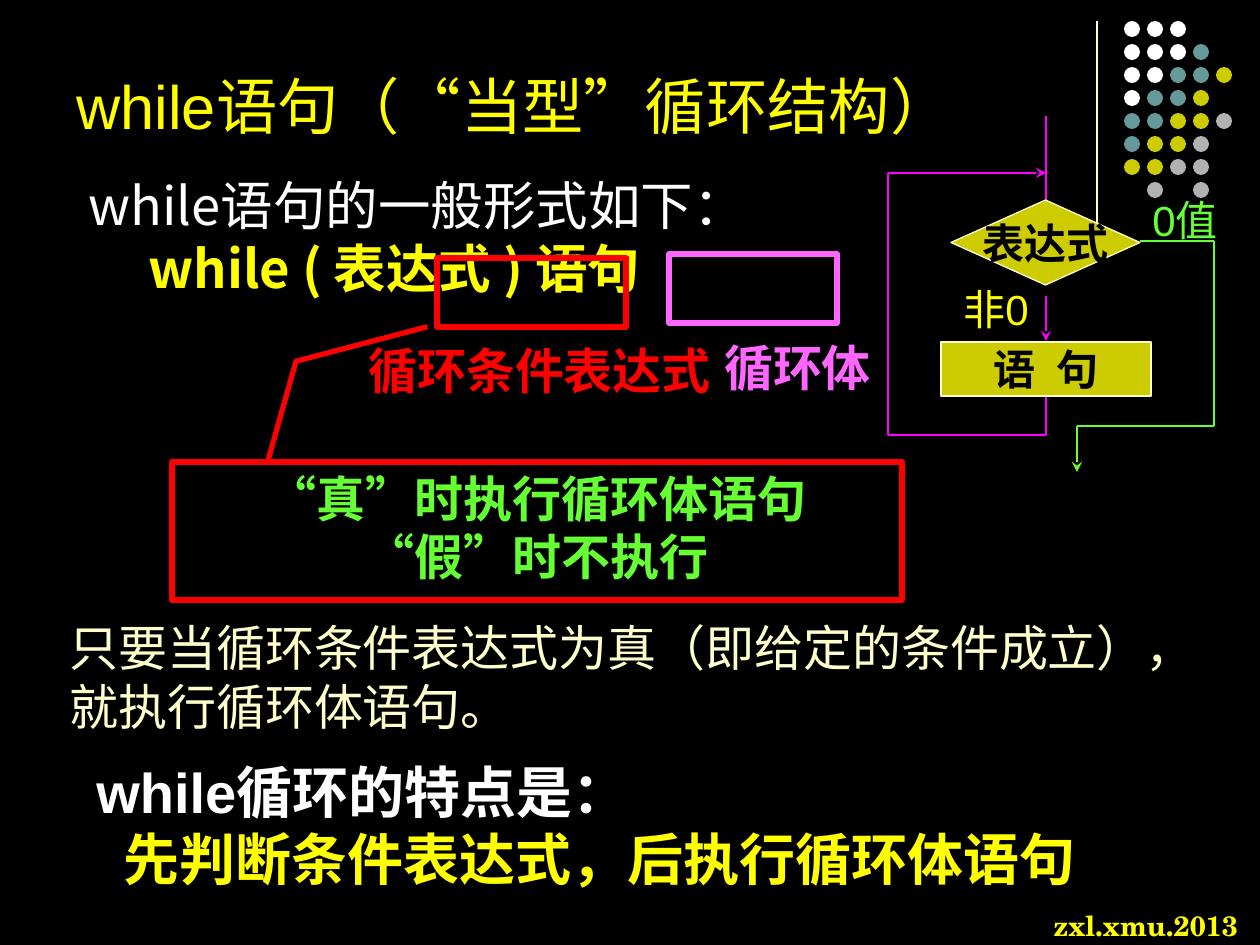
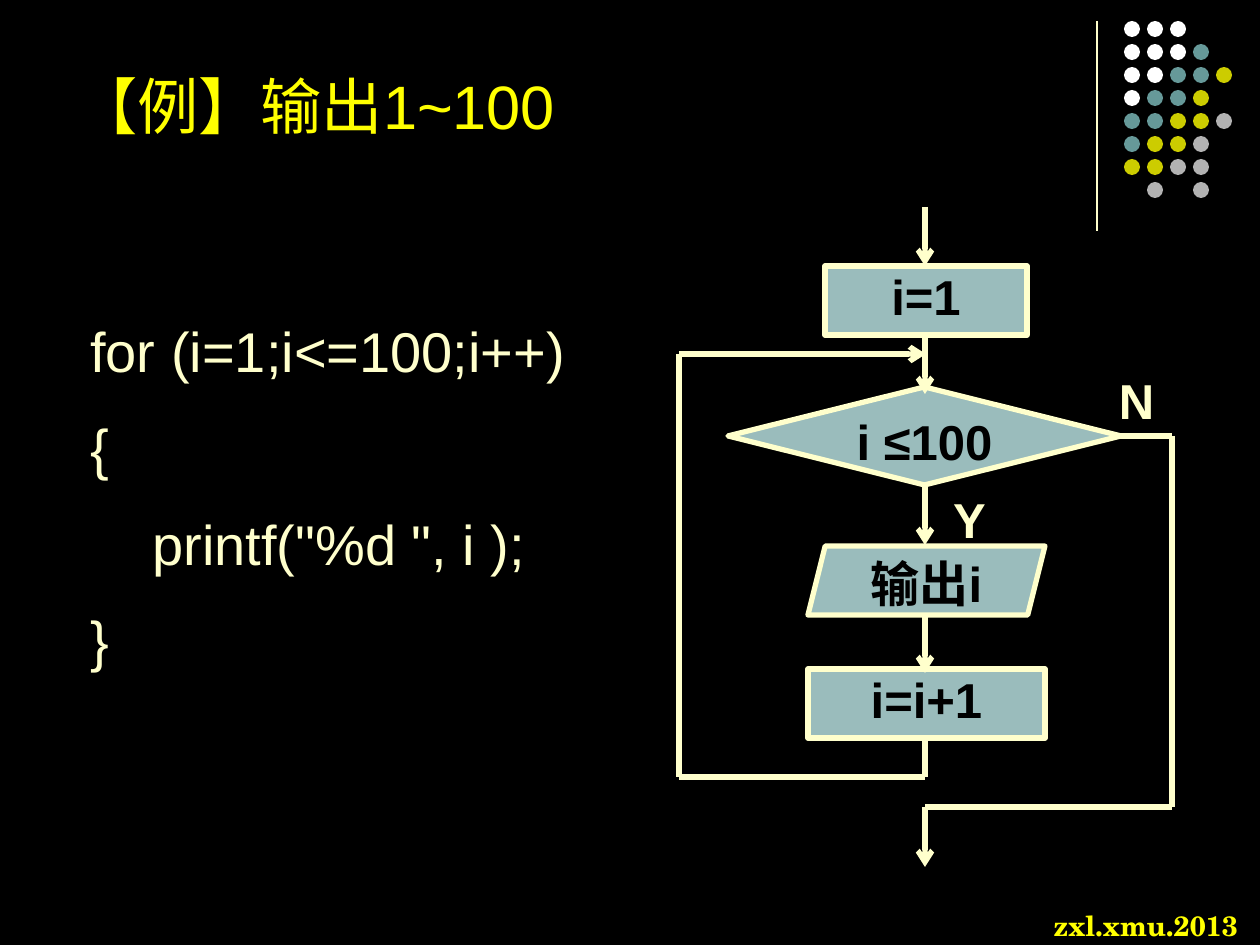
from lxml import etree
from pptx import Presentation
from pptx.dml.color import RGBColor
from pptx.enum.shapes import MSO_CONNECTOR, MSO_SHAPE
from pptx.enum.text import MSO_ANCHOR, PP_ALIGN
from pptx.oxml.ns import qn
from pptx.util import Pt

LINE = MSO_CONNECTOR.STRAIGHT
RECT, OVAL = MSO_SHAPE.RECTANGLE, MSO_SHAPE.OVAL
DIAMOND, CALLOUT = MSO_SHAPE.DIAMOND, MSO_SHAPE.LINE_CALLOUT_2
STEP, TEST = MSO_SHAPE.FLOWCHART_PROCESS, MSO_SHAPE.FLOWCHART_DECISION
SLANT = MSO_SHAPE.PARALLELOGRAM
LEFT, MID = PP_ALIGN.LEFT, PP_ALIGN.CENTER
TOP, CENTRE, BASE = MSO_ANCHOR.TOP, MSO_ANCHOR.MIDDLE, MSO_ANCHOR.BOTTOM

SCALE = 914400 / 126
SANS, HAN = "Arial", "Noto Sans CJK SC"
SERIF, SCHOOL = "Times New Roman", "TeX Gyre Schola"
COLORS = {
    "black": "000000", "white": "FFFFFF", "cream": "FFFFCC",
    "yellow": "FFFF00", "olive": "CCCC00", "teal": "669999",
    "mist": "9ABCBC", "grey": "B2B2B2", "red": "FF0000",
    "pink": "FF66FF", "purple": "FF00FF", "green": "66FF33",
}
# One letter per dot: white, teal, olive, grey
DOTS = ["WWW", "WWWT", "WWTTO", "WTTO", "TTOOG", "TOOG", "OOGG", " G G"]
DOT_FILL = {"W": "white", "T": "teal", "O": "olive", "G": "grey"}


def px(n):
    return round(n * SCALE)


def rgb(name):
    return RGBColor.from_string(COLORS[name])


# Text
def style(par, size, color, font=SANS, bold=False):
    for run in par.runs:
        run.font.size = Pt(size)
        run.font.name = font
        run.font.bold = bold
        run.font.color.rgb = rgb(color)
        east = etree.SubElement(run.font._element, qn("a:ea"))
        east.set("typeface", HAN)


def indent(par, left):
    par._p.get_or_add_pPr().set("marL", str(px(left)))


def write(frame, text, size, color, font=SANS, bold=False,
          align=LEFT, anchor=TOP, wrap=True):
    frame.text = text
    frame.word_wrap = wrap
    frame.vertical_anchor = anchor
    for par in frame.paragraphs:
        par.alignment = align
        style(par, size, color, font, bold)
    return frame.paragraphs


def label(slide, at, text, size, color, **look):
    box = slide.shapes.add_textbox(*map(px, at))
    return write(box.text_frame, text, size, color, **look)


# Shapes and lines
def block(slide, kind, at, fill=None, edge=None, width=3):
    shape = slide.shapes.add_shape(kind, *map(px, at))
    shape.shadow.inherit = False
    if fill:
        shape.fill.solid()
        shape.fill.fore_color.rgb = rgb(fill)
    else:
        shape.fill.background()
    if edge:
        shape.line.color.rgb = rgb(edge)
        shape.line.width = Pt(width)
    else:
        shape.line.fill.background()
    return shape


def node(slide, kind, at, text):
    shape = block(slide, kind, at, "mist", "cream")
    frame = shape.text_frame
    frame.margin_left = frame.margin_right = 0
    frame.margin_top = frame.margin_bottom = 0
    write(frame, text, 28, "black", bold=True, align=MID, wrap=False)


def trail(slide, points, color, width, head=None):
    for start, end in zip(points, points[1:]):
        line = slide.shapes.add_connector(LINE, *map(px, start + end))
        line.line.color.rgb = rgb(color)
        line.line.width = Pt(width)
        etree.SubElement(line._element.spPr, qn("a:effectLst"))
    if head:
        tip = etree.SubElement(line.line._get_or_add_ln(), qn("a:tailEnd"))
        tip.set("type", head)


# Shared by both slides
def start(deck, title):
    slide = deck.slides.add_slide(deck.slide_layouts[6])
    slide.background.fill.solid()
    slide.background.fill.fore_color.rgb = rgb("black")
    trail(slide, [(1097, 21), (1097, 231)], "cream", 0.75)
    for row, marks in enumerate(DOTS):
        for col, mark in enumerate(marks):
            if mark in DOT_FILL:
                at = (1124 + 23 * col, 21 + 23 * row, 16, 16)
                block(slide, OVAL, at, DOT_FILL[mark])
    label(slide, (1041, 902, 219, 47), "zxl.xmu.2013", 16, "yellow",
          font=SCHOOL, bold=True, wrap=False)
    label(slide, (64, 35, 1040, 113), title, 35, "yellow", anchor=BASE)
    return slide


def while_flow(slide):
    # Loop back
    trail(slide, [(1046, 116), (1046, 200)], "purple", 1)
    trail(slide, [(1046, 296), (1046, 341)], "purple", 1, "stealth")
    trail(slide, [(1046, 396), (1046, 435), (888, 435), (888, 173),
                  (1046, 173)], "purple", 1, "stealth")
    # Way out
    trail(slide, [(1140, 241), (1214, 241), (1214, 426), (1077, 426),
                  (1077, 472)], "green", 1.5, "stealth")
    for kind, at, text in [(DIAMOND, (951, 200, 189, 85), "表达式"),
                           (RECT, (941, 342, 210, 54), "语\t句")]:
        shape = block(slide, kind, at, "olive", "cream", 0.75)
        write(shape.text_frame, text, 24, "black", font=SERIF, bold=True,
              align=MID, anchor=CENTRE, wrap=False)
    label(slide, (951, 277, 105, 63), "非0", 24, "yellow")
    label(slide, (1140, 188, 105, 63), "0值", 24, "green")


def while_slide(deck):
    slide = start(deck, "while语句（“当型”循环结构）")
    # General form
    head, form = label(slide, (63, 167, 1134, 170),
                       "while语句的一般形式如下：\nwhile ( 表达式 ) 语句",
                       30, "white", font=HAN)
    indent(head, 13)
    indent(form, 73)
    style(form, 30, "yellow", HAN, True)
    block(slide, RECT, (669, 254, 168, 69), edge="pink")
    block(slide, RECT, (437, 258, 189, 69), edge="red")
    label(slide, (699, 331, 197, 72), "循环体", 28, "pink",
          bold=True, align=MID)
    label(slide, (333, 334, 413, 72), "循环条件表达式", 28, "red",
          bold=True, align=MID)
    # What the condition does
    note = block(slide, CALLOUT, (172, 462, 730, 138), edge="red")
    for i, bend in enumerate([0.02, 0.13, -0.73, 0.17, -0.98, 0.35]):
        note.adjustments[i] = bend
    write(note.text_frame, "“真”时执行循环体语句\n“假”时不执行", 28, "green",
          bold=True, align=MID, wrap=False)
    label(slide, (57, 611, 1139, 131),
          "只要当循环条件表达式为真（即给定的条件成立），就执行循环体语句。",
          28, "cream")
    # Key trait
    _, rule = label(slide, (84, 751, 1087, 149),
                    "while循环的特点是：\n先判断条件表达式，后执行循环体语句",
                    32, "white", bold=True)
    indent(rule, 27)
    style(rule, 32, "yellow", bold=True)
    while_flow(slide)


def for_slide(deck):
    slide = start(deck, "【例】输出1~100")
    # Code
    code = 'for (i=1;i<=100;i++)\n{\n    printf("%d ", i );\n}'
    rows = label(slide, (78, 297, 532, 393), code, 32, "cream")
    for i, par in enumerate(rows):
        par.line_spacing = 1.2
        if i:
            par.space_before = Pt(9)
    # Flow chart
    node(slide, TEST, (728, 387, 393, 98), "i ≤100")
    node(slide, STEP, (808, 669, 237, 69), "i=i+1")
    node(slide, STEP, (825, 266, 202, 69), "i=1")
    node(slide, SLANT, (808, 546, 237, 69), "输出i")
    for top in (207, 335, 486, 614):
        trail(slide, [(925, top), (925, top + 59)], "cream", 3, "arrow")
    trail(slide, [(925, 738), (925, 777), (679, 777), (679, 354),
                  (926, 354)], "cream", 3, "arrow")
    trail(slide, [(1115, 436), (1172, 436), (1172, 807), (925, 807),
                  (925, 867)], "cream", 3, "arrow")
    for at, text in [((935, 483, 69, 72), "Y"), ((1102, 364, 69, 72), "N")]:
        label(slide, at, text, 28, "cream", bold=True, align=MID)


def main():
    deck = Presentation()
    deck.slide_width, deck.slide_height = px(1260), px(945)
    while_slide(deck)
    for_slide(deck)
    deck.save("out.pptx")


if __name__ == "__main__":
    main()
